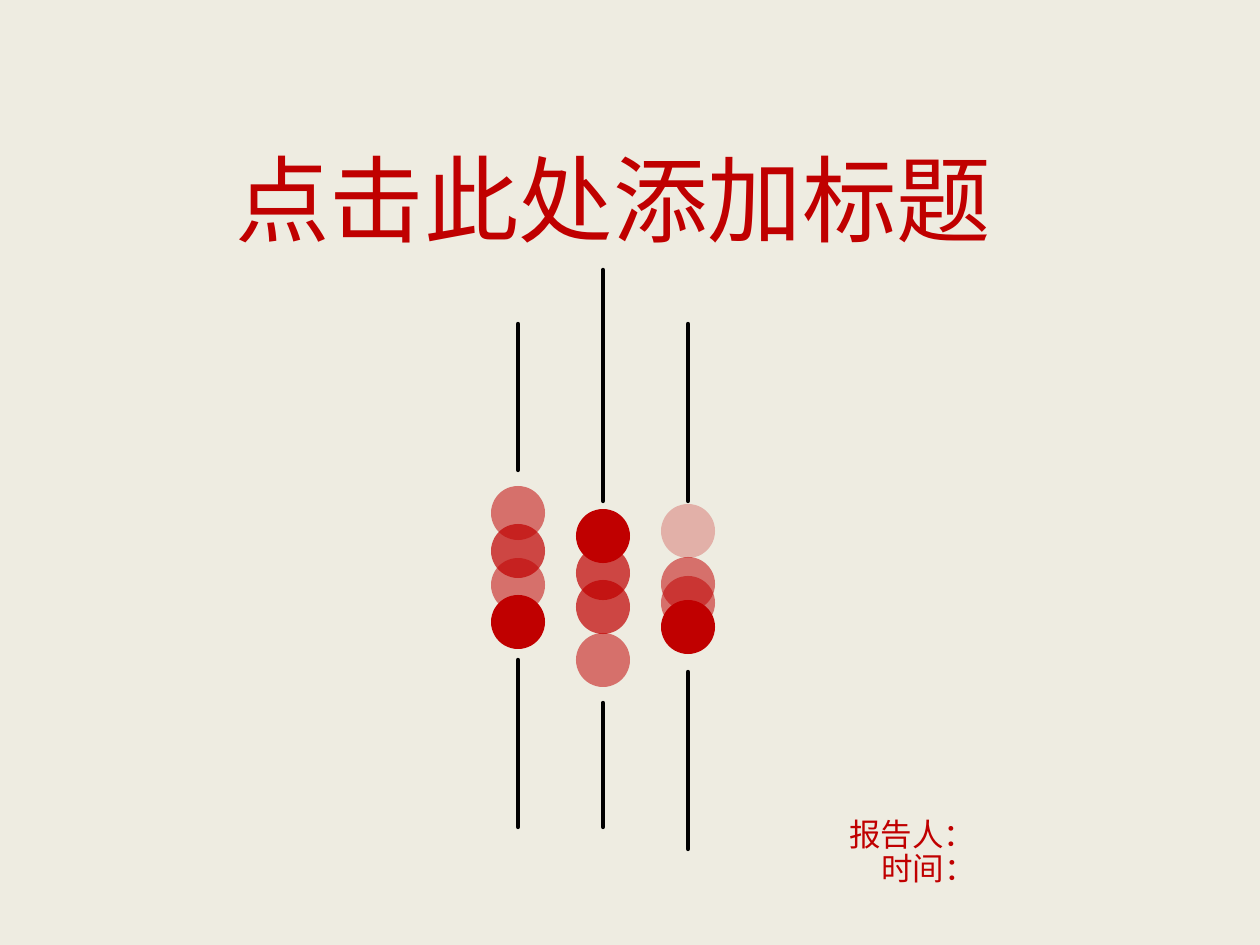
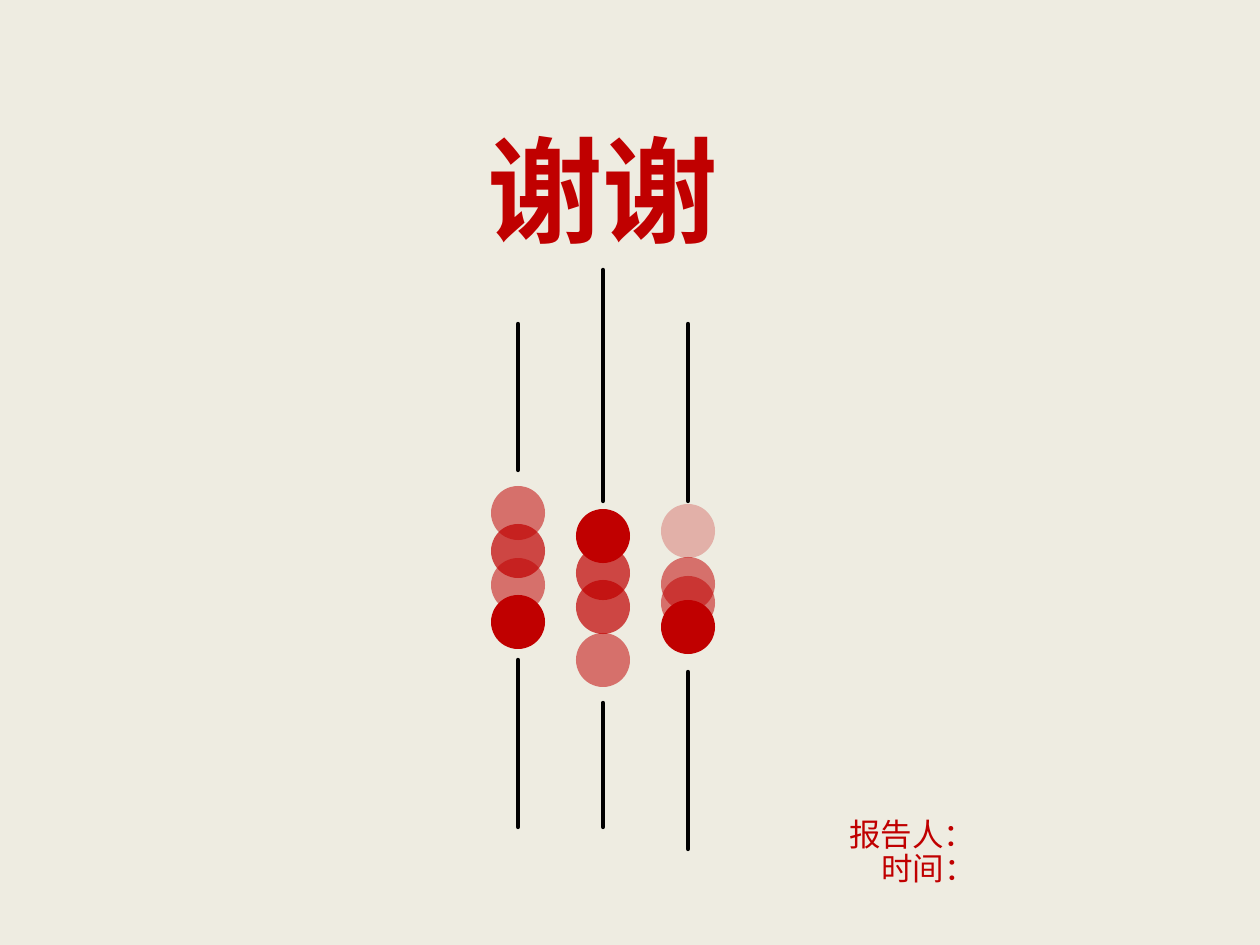
from lxml import etree
from pptx import Presentation
from pptx.dml.color import RGBColor
from pptx.enum.shapes import MSO_CONNECTOR, MSO_SHAPE
from pptx.enum.text import MSO_AUTO_SIZE
from pptx.oxml.ns import qn
from pptx.util import Emu, Pt

LINE = MSO_CONNECTOR.STRAIGHT
OVAL = MSO_SHAPE.OVAL
GROW = MSO_AUTO_SIZE.SHAPE_TO_FIT_TEXT

CREAM = RGBColor(0xEE, 0xEC, 0xE1)
RED = RGBColor(0xC0, 0x00, 0x00)
BLACK = RGBColor(0x00, 0x00, 0x00)

LATIN = "Arial"
CJK = "Noto Sans CJK SC"

BEAD = 54
FIRST_ROD = 518
ROD_GAP = 85
UPPER_RODS = [(324, 470), (270, 501), (324, 501)]
LOWER_RODS = [(660, 827), (703, 827), (672, 849)]
BEADS = [
    [(486, 52), (524, 70), (595, 100), (558, 52)],
    [(546, 70), (509, 100), (633, 52), (580, 70)],
    [(504, 25), (557, 52), (600, 100), (576, 52)],
]


def px(n):
    """Turn px, 126 to the inch, into EMU."""
    return Emu(round(n * 914400 / 126))


def add_rods(group, rods):
    """Draw one row of vertical rods, given as (top, bottom) pairs."""
    for i, (top, bottom) in enumerate(rods):
        x = px(FIRST_ROD + i * ROD_GAP)
        c = group.shapes.add_connector(LINE, x, px(top), x, px(bottom))
        c.line.color.rgb = BLACK
        c.line.width = Pt(2.5)
        c.line._get_or_add_ln().set("cap", "rnd")
        etree.SubElement(c._element.spPr, qn("a:effectLst"))


def add_bead(group, center, top, opacity):
    """Draw one red bead with an opacity in percent."""
    sp = group.shapes.add_shape(
        OVAL, px(center - BEAD / 2), px(top), px(BEAD), px(BEAD))
    sp.shadow.inherit = False
    sp.line.fill.background()
    sp.fill.solid()
    sp.fill.fore_color.rgb = RED
    if opacity < 100:
        color = sp._element.spPr.find(qn("a:solidFill"))[0]
        etree.SubElement(color, qn("a:alpha"), val=str(opacity * 1000))


def add_abacus(s):
    """Draw the group of rods and beads."""
    group = s.shapes.add_group_shape()
    add_rods(group, UPPER_RODS)
    for i, column in enumerate(BEADS):
        for top, opacity in column:
            add_bead(group, FIRST_ROD + i * ROD_GAP, top, opacity)
    add_rods(group, LOWER_RODS)


def add_text(s, text, box, size, font=CJK, bold=False):
    """Add one line of red text that does not wrap."""
    tf = s.shapes.add_textbox(*map(px, box)).text_frame
    tf.word_wrap = False
    tf.auto_size = GROW
    r = tf.paragraphs[0].add_run()
    r.text = text
    r.font.size = Pt(size)
    r.font.bold = bold
    r.font.color.rgb = RED
    r.font.name = font
    etree.SubElement(r._r.get_or_add_rPr(), qn("a:ea"), typeface=CJK)


def add_slide(prs, title, box, size, font=CJK, bold=False):
    """Add a slide with a title, the abacus and the speaker lines."""
    s = prs.slides.add_slide(prs.slide_layouts[6])
    add_abacus(s)
    add_text(s, title, box, size, font, bold)
    add_text(s, "报告人：", (837, 809, 151, 50), 18)
    add_text(s, "时间：", (869, 843, 119, 50), 18)


def main():
    """Build the opening and closing slides."""
    prs = Presentation()
    prs.slide_width, prs.slide_height = px(1260), px(945)
    fill = prs.slide_master.background.fill
    fill.solid()
    fill.fore_color.rgb = CREAM
    add_slide(prs, "点击此处添加标题", (223, 135, 781, 126), 54, font=LATIN)
    add_slide(prs, "谢谢", (475, 113, 256, 151), 66, bold=True)
    prs.save("out.pptx")


if __name__ == "__main__":
    main()
